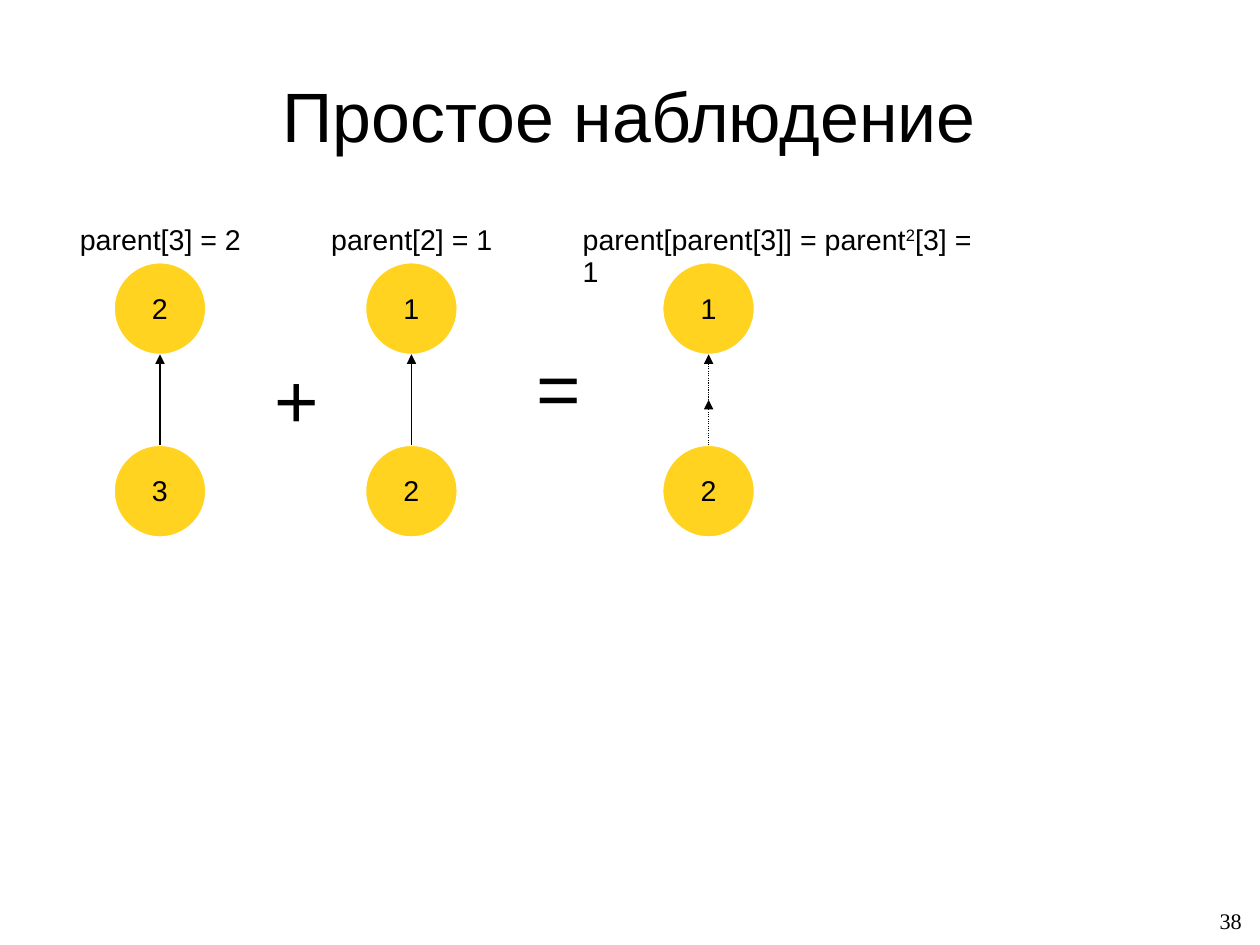
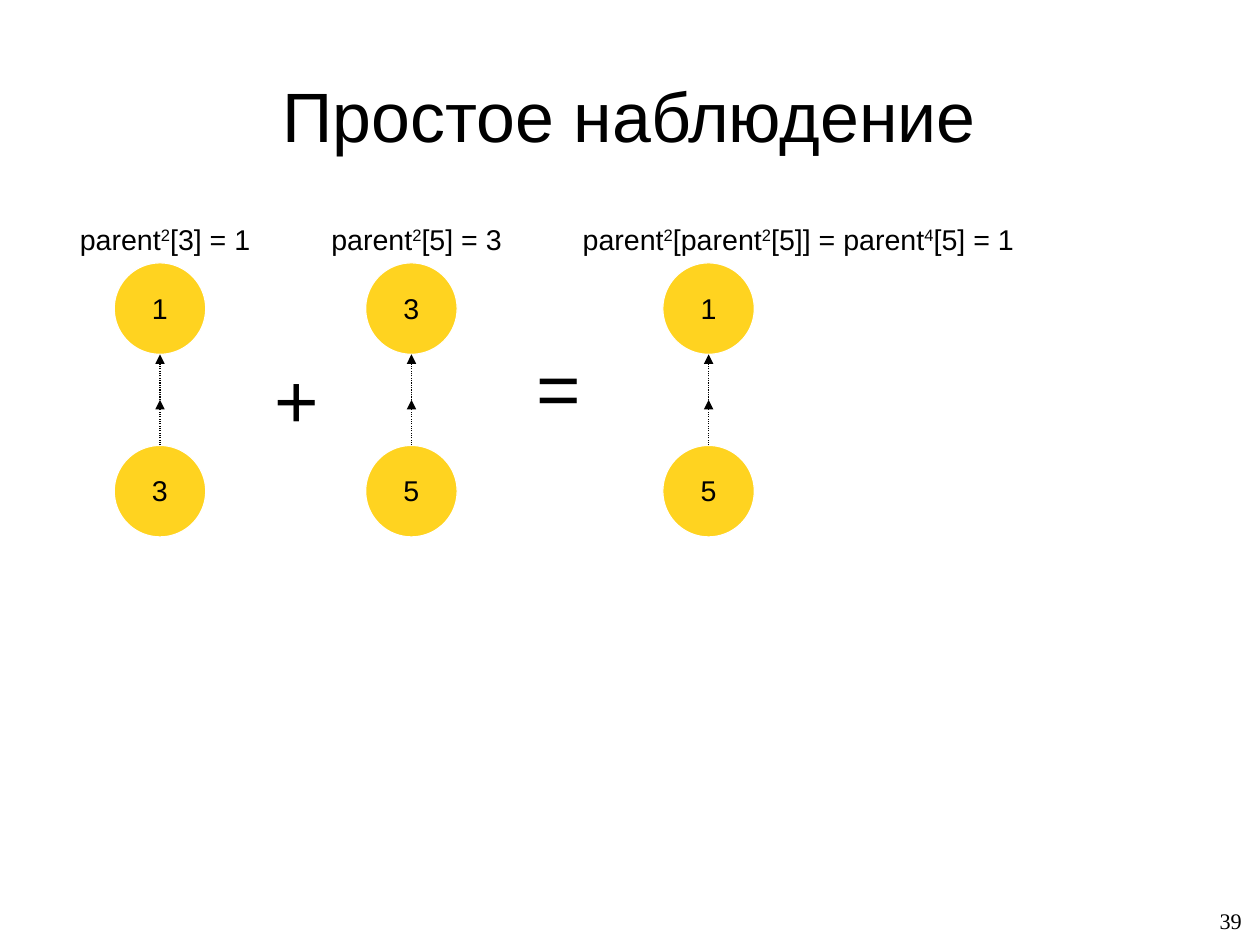
from lxml import etree
from pptx import Presentation
from pptx.dml.color import RGBColor
from pptx.enum import dml, shapes, text
from pptx.oxml.ns import qn
from pptx.util import Pt

TITLE = "Простое наблюдение"
# Each column: label (^ opens and closes a superscript), label width and height,
# wraps, top node, bottom node, number of steps between the nodes
SLIDES = [
    ("38", [("parent[3] = 2", 116, 27.4, False, "2", "3", 1),
            ("parent[2] = 1", 116, 27.4, False, "1", "2", 1),
            ("parent[parent[3]] = parent^2^[3] = 1", 273, 27.4, True,
             "1", "2", 2)]),
    ("39", [("parent^2^[3] = 1", 121.7, 27.4, False, "1", "3", 2),
            ("parent^2^[5] = 3", 121.7, 27.4, False, "3", "5", 2),
            ("parent^2^[parent^2^[5]] = parent^4^[5] = 1", 295.2, 47.5, True,
             "1", "5", 2)]),
]
SIGNS = [("+", 165.6, 219.7), ("=", 331.2, 212)]

BLACK, WHITE, YELLOW = "000000", "FFFFFF", "FFD320"
SANS, SERIF = "Arial", "Times New Roman"
LEFT, CENTER, RIGHT = (text.PP_ALIGN.LEFT, text.PP_ALIGN.CENTER,
                       text.PP_ALIGN.RIGHT)
PAD = (7.2, 5, 7.2, 3.6)
LABEL_X, LABEL_GAP, LABEL_Y = 43.2, 158.4, 136.8
NODE_X = (72, 230.4, 417.6)
TOP_Y, LOW_Y, NODE = 165.6, 280.6, 57.6


def rgb(code):
    return RGBColor.from_string(code)


def write(shape, words, size, align=LEFT, pad=PAD, wrap=True,
          middle=False, font=SANS):
    frame = shape.text_frame
    frame.auto_size = text.MSO_AUTO_SIZE.NONE
    frame.word_wrap = wrap
    frame.vertical_anchor = (text.MSO_ANCHOR.MIDDLE if middle
                             else text.MSO_ANCHOR.TOP)
    (frame.margin_left, frame.margin_top,
     frame.margin_right, frame.margin_bottom) = map(Pt, pad)
    para = frame.paragraphs[0]
    para.alignment = align
    para.line_spacing = 0.93
    for i, part in enumerate(words.split("^")):
        run = para.add_run()
        run.text = part
        run.font.name = font
        run.font.size = Pt(size)
        run.font.color.rgb = rgb(BLACK)
        if i % 2:
            run._r.get_or_add_rPr().set("baseline", "33000")


def add_text(slide, box, words, size, **style):
    write(slide.shapes.add_textbox(*map(Pt, box)), words, size, **style)


def add_node(slide, x, y, name):
    node = slide.shapes.add_shape(shapes.MSO_SHAPE.OVAL,
                                  *map(Pt, (x, y, NODE, NODE)))
    node.shadow.inherit = False
    node.fill.solid()
    node.fill.fore_color.rgb = rgb(YELLOW)
    node.line.color.rgb = rgb(WHITE)
    node.line.width = Pt(0.75)
    write(node, name, 18, align=CENTER, wrap=False, middle=True)


def add_arrow(slide, x, start, end, dotted):
    arrow = slide.shapes.add_connector(shapes.MSO_CONNECTOR.STRAIGHT,
                                       *map(Pt, (x, start, x, end)))
    arrow.line.color.rgb = rgb(BLACK)
    arrow.line.width = Pt(0.75)
    if dotted:
        arrow.line.dash_style = dml.MSO_LINE.ROUND_DOT
    etree.SubElement(arrow.line._get_or_add_ln(), qn("a:tailEnd"),
                     type="triangle")
    etree.SubElement(arrow._element.spPr, qn("a:effectLst"))


def add_column(slide, i, label, width, height, wrap, top, low, steps):
    add_text(slide, (LABEL_X + i * LABEL_GAP, LABEL_Y, width, height),
             label, 18, wrap=wrap)
    x = NODE_X[i]
    add_node(slide, x, TOP_Y, top)
    add_node(slide, x, LOW_Y, low)
    rise = (LOW_Y - TOP_Y - NODE) / steps
    for k in range(steps):
        start = LOW_Y - k * rise
        add_arrow(slide, x + NODE / 2, start, start - rise, steps > 1)


def add_slide(deck, number, columns):
    slide = deck.slides.add_slide(deck.slide_layouts[5])
    title = slide.shapes.title
    title.left, title.top, title.width, title.height = map(
        Pt, (39.6, 23.8, 714.2, 99.4))
    write(title, TITLE, 44, align=CENTER, pad=(0, 2.9, 0, 0), middle=True)
    for i, column in enumerate(columns):
        add_column(slide, i, *column)
    for sign, x, y in SIGNS:
        add_text(slide, (x, y, 42.5, 60.5), sign, 48, pad=(7.2, 7.2, 7.2, 3.6))
    add_text(slide, (597.6, 572.8, 184.7, 41), number, 14, align=RIGHT,
             pad=(0, 0, 0, 0), font=SERIF)


def main():
    deck = Presentation()
    deck.slide_width, deck.slide_height = Pt(793.75), Pt(595.25)
    for number, columns in SLIDES:
        add_slide(deck, number, columns)
    deck.save("out.pptx")


if __name__ == "__main__":
    main()
